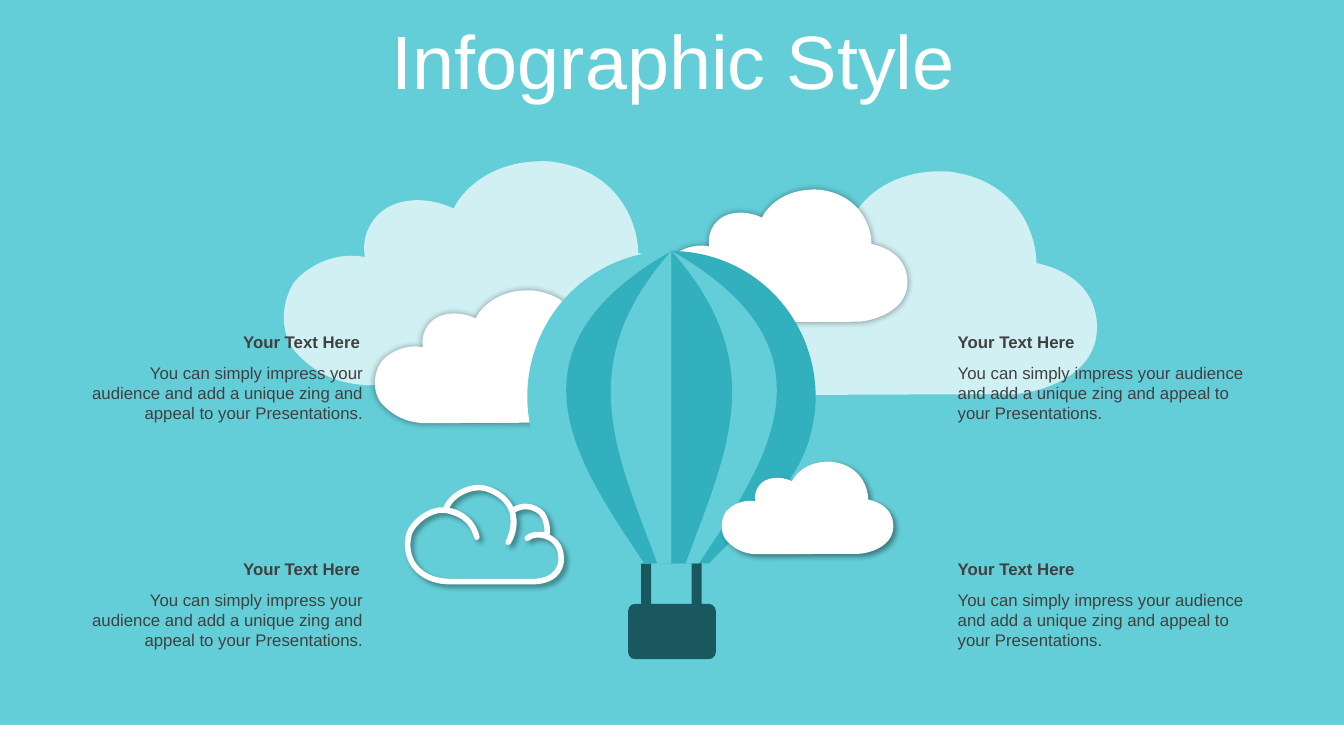
from lxml import etree
from pptx import Presentation
from pptx import util as u
from pptx.dml.color import RGBColor
from pptx.enum import shapes, text
from pptx.oxml.ns import qn

COLORS = {"sky": "64CED8", "teal": "32B0BE", "basket": "19585F",
          "white": "FFFFFF", "ink": "404040", "shadow": "000000"}
FONT = "Arial"
TITLE = "Infographic Style"
HEADING = "Your Text Here"
BODY = ("You can simply impress your audience and add a unique zing "
        "and appeal to your Presentations.")

# Text columns: left, heading width, body width, alignment
COLUMNS = [(0.8, 2.87, 2.9, text.PP_ALIGN.RIGHT),
           (9.4, 3.03, 3.05, text.PP_ALIGN.LEFT)]
ROW_TOPS = [3.24, 5.49]
BODY_DROP = 0.31

# Outlines: a start point, then one point for a line or three for a curve
CLOUD_WIDTH = 4.11
CLOUD = [
    [(2.58, 0)],
    [(2.61, 0), (2.65, 0), (2.69, 0.01)],
    [(3.33, 0.11), (3.51, 0.63), (3.51, 0.91)],
    [(4.1, 1.04), (4.14, 1.46), (4.1, 1.66)],
    [(4.02, 2.08), (3.46, 2.21), (3.27, 2.21)],
    [(0.8, 2.22)],
    [(0.49, 2.2), (0.28, 2.08), (0.1, 1.88)],
    [(-0.06, 1.67), (-0.01, 1.38), (0.08, 1.23)],
    [(0.14, 1.12), (0.43, 0.88), (0.8, 0.95)],
    [(0.76, 0.74), (0.87, 0.54), (1.04, 0.45)],
    [(1.26, 0.34), (1.52, 0.39), (1.68, 0.47)],
    [(1.76, 0.3), (2.04, -0.01), (2.58, 0)],
]
LINE_CLOUD = [
    [(4.47, 5.77)],
    [(5.3, 5.77)],
    [(5.53, 5.76), (5.59, 5.61), (5.56, 5.48)],
    [(5.52, 5.3), (5.3, 5.27), (5.23, 5.34)],
    [(5.27, 5.3), (5.36, 5.3), (5.42, 5.31)],
    [(5.44, 5.27), (5.42, 5.13), (5.36, 5.08)],
    [(5.3, 5.03), (5.19, 4.99), (5.08, 5.07)],
    [(5.1, 5.15), (5.1, 5.27), (5.04, 5.38)],
    [(5.14, 5.22), (5.13, 4.95), (4.83, 4.85)],
    [(4.68, 4.8), (4.46, 4.91), (4.42, 5.06)],
    [(4.53, 5.09), (4.67, 5.12), (4.73, 5.33)],
    [(4.7, 5.2), (4.6, 5.08), (4.41, 5.06)],
    [(4.26, 5.05), (4.1, 5.18), (4.06, 5.29)],
    [(3.99, 5.53), (4.14, 5.77), (4.47, 5.77)],
]

# Shadows: blur and distance in points, angle in degrees
GLOW = (5, 0, 0)
DROP = (4, 3, 45)
# Clouds: left, top, width, opacity in percent, shadow
BACK_CLOUDS = [(2.82, 1.6, 4.11, 70, None), (6.77, 1.7, 4.11, 70, None),
               (3.72, 2.88, 2.44, 100, GLOW), (6.56, 1.88, 2.44, 100, GLOW)]
FRONT_CLOUD = (7.16, 4.58, 1.7, 100, DROP)

# Balloon stripes: distance from the axis, height on the slide
AXIS = 6.66
CROWN, MOUTH = (0, 2.49), (0, 5.59)
STRIPES = [
    [[CROWN], [MOUTH], [(0.37, 5.59)], [(1.01, 4.95)],
     [(1.57, 4.39), (1.57, 3.48), (1.01, 2.91)],
     [(0.73, 2.63), (0.36, 2.49), CROWN]],
    [[CROWN], [MOUTH], [(0.27, 5.59)], [(0.95, 4.57), (1.72, 3.47), CROWN]],
    [[CROWN], [MOUTH], [(0.14, 5.59)], [(0.54, 4.49), (1, 3.62), CROWN]],
]
SIDES = [(-1, ["sky", "teal", "sky"]), (1, ["teal", "sky", "teal"])]

presentation = Presentation()
presentation.slide_width = u.Inches(13.33)
presentation.slide_height = u.Inches(7.5)
slide = presentation.slides.add_slide(presentation.slide_layouts[6])


def rgb(name):
    return RGBColor.from_string(COLORS[name])


def paint(shape, color):
    shape.shadow.inherit = False
    shape.fill.solid()
    shape.fill.fore_color.rgb = rgb(color)
    shape.line.fill.background()


def add_block(kind, left, top, width, height, color):
    shape = slide.shapes.add_shape(kind, *map(u.Inches, (left, top, width, height)))
    paint(shape, color)
    return shape


def add_outline(segments, color):
    """Draw a closed outline whose three-point segments are Bezier curves."""
    points = [(u.Inches(x), u.Inches(y)) for segment in segments for x, y in segment]
    builder = slide.shapes.build_freeform(*points[0])
    builder.add_line_segments(points[1:], close=True)
    shape = builder.convert_to_shape()
    lines = iter(list(shape.element.iter(qn("a:lnTo"))))
    for segment in segments[1:]:
        parts = [next(lines) for point in segment]
        if len(parts) == 3:
            curve = etree.Element(qn("a:cubicBezTo"))
            parts[0].addprevious(curve)
            for part in parts:
                curve.append(part[0])
                part.getparent().remove(part)
    paint(shape, color)
    return shape


def add_alpha(color_element, percent):
    etree.SubElement(color_element, qn("a:alpha"), val=str(percent * 1000))


def add_shadow(shape, blur, distance, angle):
    effects = next(shape.element.iter(qn("a:effectLst")))
    shadow = etree.SubElement(
        effects, qn("a:outerShdw"), blurRad=str(u.Pt(blur)), dist=str(u.Pt(distance)),
        dir=str(angle * 60000), algn="ctr", rotWithShape="0")
    add_alpha(etree.SubElement(shadow, qn("a:srgbClr"), val=COLORS["shadow"]), 40)


def add_cloud(left, top, width, opacity, shadow):
    scale = width / CLOUD_WIDTH
    cloud = add_outline([[(left + x * scale, top + y * scale) for x, y in segment]
                         for segment in CLOUD], "white")
    if opacity < 100:
        add_alpha(next(cloud.element.iter(qn("a:srgbClr"))), opacity)
    if shadow:
        add_shadow(cloud, *shadow)


def add_text(words, left, top, width, height, align, size, color, bold=False):
    box = slide.shapes.add_textbox(*map(u.Inches, (left, top, width, height)))
    frame = box.text_frame
    frame.word_wrap = True
    frame.text = words
    paragraph = frame.paragraphs[0]
    paragraph.alignment = align
    font = paragraph.runs[0].font
    font.name, font.size, font.bold = FONT, u.Pt(size), bold
    font.color.rgb = rgb(color)
    return frame


# Background and bottom strip
slide.background.fill.solid()
slide.background.fill.fore_color.rgb = rgb("sky")
add_block(shapes.MSO_SHAPE.RECTANGLE, 0, 7.19, 13.33, 0.31, "white")

# Ropes and basket
for rope_left, rope_top in [(6.36, 5.59), (6.86, 5.55)]:
    add_block(shapes.MSO_SHAPE.RECTANGLE, rope_left, rope_top, 0.1, 0.55, "basket")
basket = add_block(shapes.MSO_SHAPE.ROUNDED_RECTANGLE, 6.23, 5.99, 0.87, 0.55, "basket")
basket.adjustments[0] = 0.13

# Title
title = add_text(TITLE, 0.35, 0.25, 12.66, 0.79, text.PP_ALIGN.CENTER, 54, "white")
title.vertical_anchor = text.MSO_ANCHOR.MIDDLE
title.paragraphs[0].line_spacing = 0.9

# Clouds behind the balloon
for cloud_data in BACK_CLOUDS:
    add_cloud(*cloud_data)
line_cloud = add_outline(LINE_CLOUD, "white")
line_cloud.fill.background()
line_cloud.line.color.rgb = rgb("white")
line_cloud.line.width = u.Pt(4)
add_shadow(line_cloud, *DROP)

# Balloon: the right half mirrors the left
for side, stripe_colors in SIDES:
    for stripe, stripe_color in zip(STRIPES, stripe_colors):
        add_outline([[(AXIS + side * x, y) for x, y in segment]
                     for segment in stripe], stripe_color)

# Cloud in front of the balloon
add_cloud(*FRONT_CLOUD)

# Text blocks
for left, heading_width, body_width, align in COLUMNS:
    for top in ROW_TOPS:
        add_text(BODY, left, top + BODY_DROP, body_width, 0.71, align, 12, "ink")
        add_text(HEADING, left, top, heading_width, 0.3, align, 12, "ink", bold=True)

presentation.save("out.pptx")
